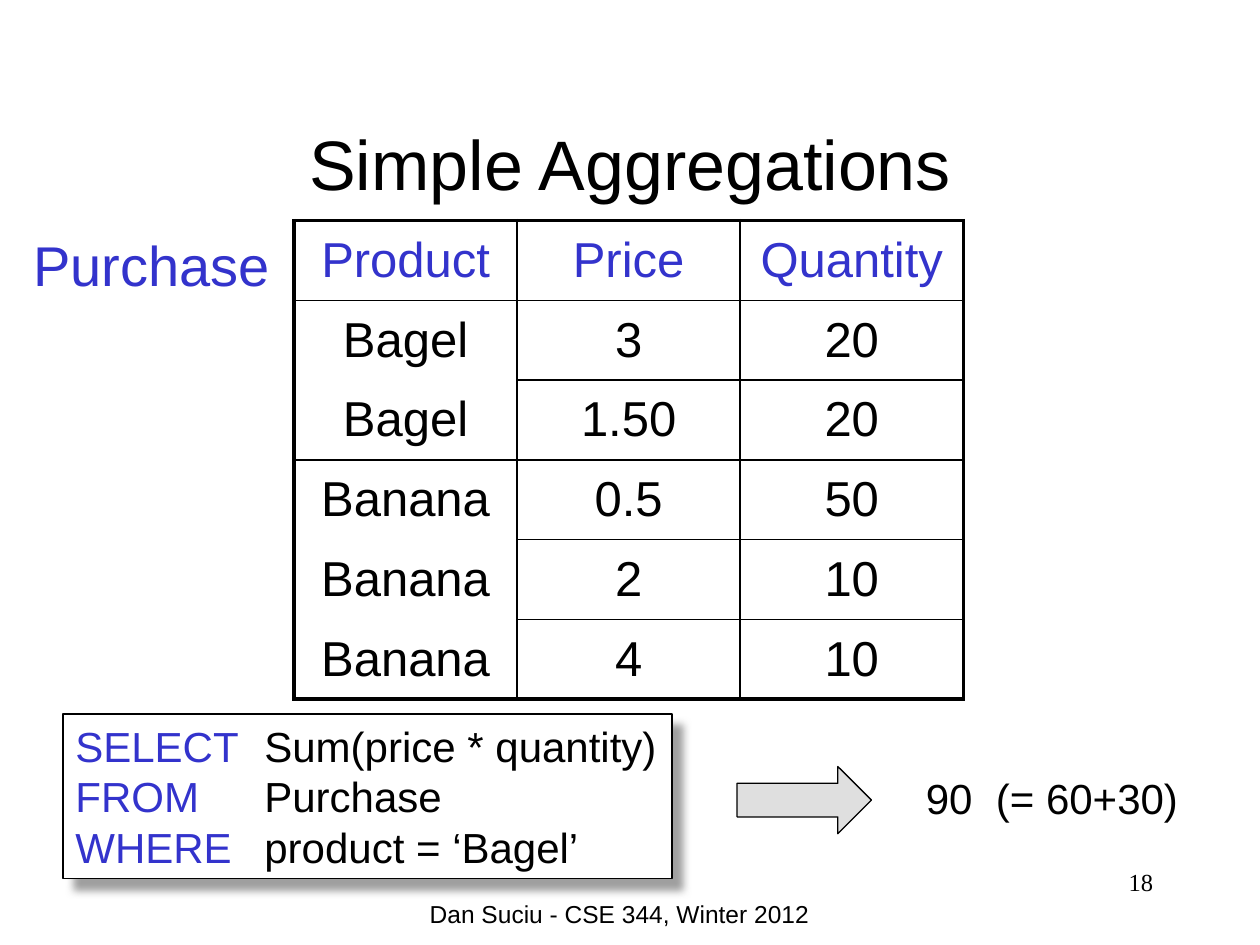
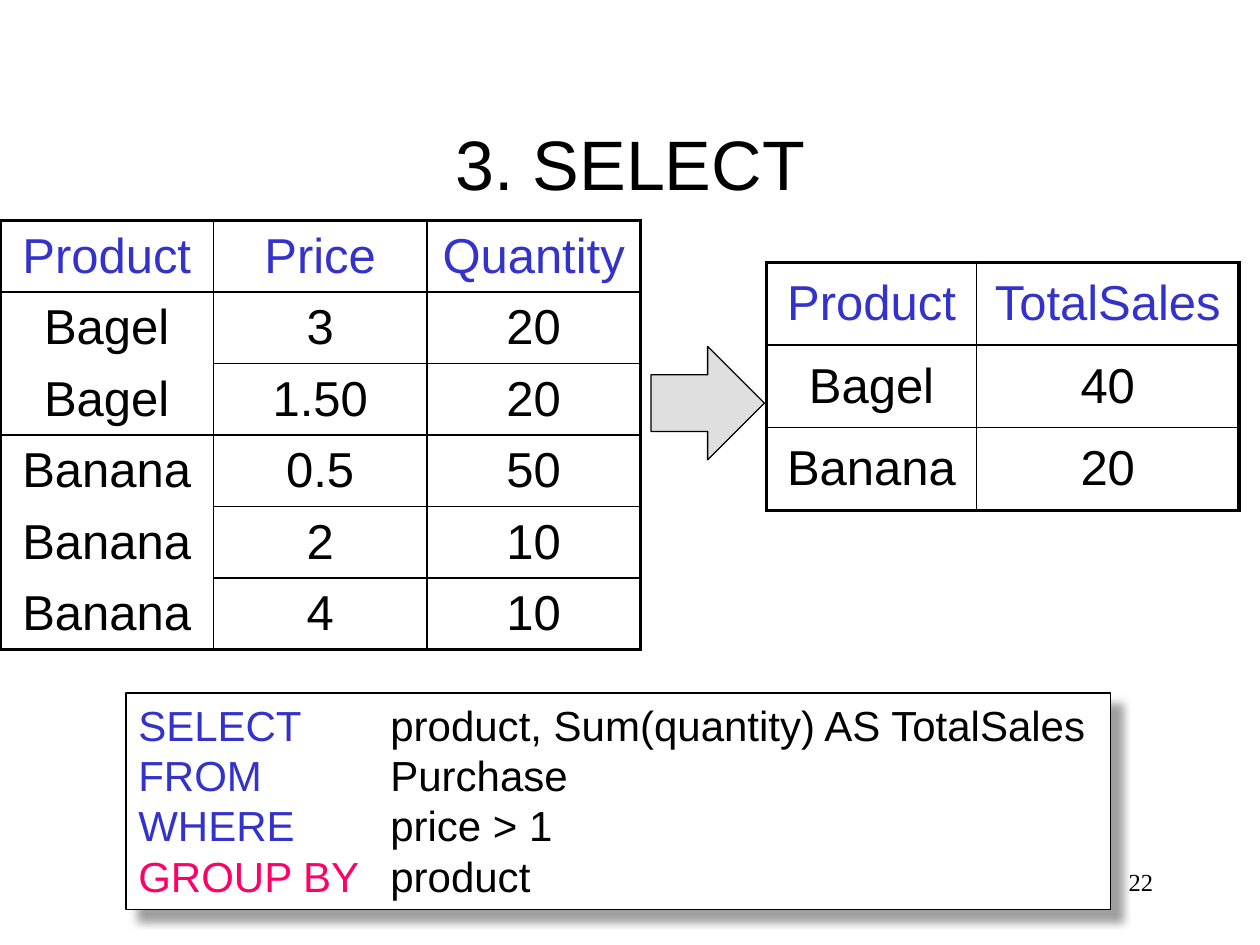
"""Build two slides on SQL aggregation: a simple sum and a grouped SELECT."""
from lxml import etree
from pptx import Presentation
from pptx.dml.color import RGBColor
from pptx.enum.shapes import MSO_SHAPE
from pptx.enum.text import MSO_ANCHOR, PP_ALIGN
from pptx.oxml.ns import qn
from pptx.util import Emu, Inches, Pt

RECTANGLE, RIGHT_ARROW = MSO_SHAPE.RECTANGLE, MSO_SHAPE.RIGHT_ARROW
LEFT, CENTER, RIGHT = PP_ALIGN.LEFT, PP_ALIGN.CENTER, PP_ALIGN.RIGHT
TOP, MIDDLE = MSO_ANCHOR.TOP, MSO_ANCHOR.MIDDLE

COLORS = {
    "ink": "000000",
    "paper": "FFFFFF",
    "keyword": "3333CC",
    "highlight": "FF0066",
    "arrow": "C0C0C0",
    "shadow": "808080",
}
SANS, SERIF = "Arial", "Times New Roman"
SLIDE_WIDTH, SLIDE_HEIGHT = Inches(10), Inches(7.5)
GRID_COLUMNS = 120
THICK, THIN = 2.25, 1
TITLE_AREA = (9, 8, 102, 15)
FOOTER_AREA = (37, 85, 44, 6)
NUMBER_AREA = (86, 82, 25, 6)

PURCHASES = [
    ("Product", "Price", "Quantity"),
    ("Bagel", "3", "20"),
    ("Bagel", "1.50", "20"),
    ("Banana", "0.5", "50"),
    ("Banana", "2", "10"),
    ("Banana", "4", "10"),
]
TOTALS = [("Product", "TotalSales"), ("Bagel", "40"), ("Banana", "20")]
BAGEL_QUERY = [
    ("SELECT", "Sum(price * quantity)", "keyword"),
    ("FROM", "Purchase", "keyword"),
    ("WHERE", "product = ‘Bagel’", "keyword"),
]
GROUP_QUERY = [
    ("SELECT", "product, Sum(quantity) AS TotalSales", "keyword"),
    ("FROM", "Purchase", "keyword"),
    ("WHERE", "price > 1", "keyword"),
    ("GROUP BY", "product", "highlight"),
]


def grid(units):
    """Turn grid units into a length; cells are square."""
    return Emu(round(SLIDE_WIDTH * units / GRID_COLUMNS))


def place(area):
    """Turn a grid area into left, top, width and height."""
    return [grid(units) for units in area]


def color(name):
    """Look up a named colour."""
    return RGBColor.from_string(COLORS[name])


def add_run(paragraph, text, size, color_name="ink", font=SANS):
    """Append one formatted run."""
    run = paragraph.add_run()
    run.text = text
    run.font.size = Pt(size)
    run.font.name = font
    run.font.color.rgb = color(color_name)


def add_title(slide, text):
    """Move and fill the title placeholder."""
    title = slide.shapes.title
    title.left, title.top, title.width, title.height = place(TITLE_AREA)
    title.text_frame.vertical_anchor = MIDDLE
    paragraph = title.text_frame.paragraphs[0]
    paragraph.alignment = CENTER
    add_run(paragraph, text, 40)


def add_label(slide, area, text, size, color_name="ink", font=SANS, alignment=LEFT):
    """Add a one-line text box."""
    frame = slide.shapes.add_textbox(*place(area)).text_frame
    frame.word_wrap = True
    frame.paragraphs[0].alignment = alignment
    add_run(frame.paragraphs[0], text, size, color_name, font)


def add_outlined_shape(slide, kind, area, fill_name):
    """Add a filled preset shape with a thin outline and no shadow."""
    shape = slide.shapes.add_shape(kind, *place(area))
    shape.shadow.inherit = False
    shape.fill.solid()
    shape.fill.fore_color.rgb = color(fill_name)
    shape.line.color.rgb = color("ink")
    shape.line.width = Pt(0.75)
    return shape


def add_arrow(slide, area):
    """Add a half-transparent block arrow."""
    arrow = add_outlined_shape(slide, RIGHT_ARROW, area, "arrow")
    fill_color = arrow._element.spPr.find(qn("a:solidFill")).find(qn("a:srgbClr"))
    etree.SubElement(fill_color, qn("a:alpha"), val="50000")


def add_drop_shadow(shape):
    """Give a shape a soft shadow to the lower right."""
    effects = shape._element.spPr.find(qn("a:effectLst"))
    shadow = etree.SubElement(
        effects, qn("a:outerShdw"), blurRad=str(Pt(5)), dist=str(Pt(8.5)),
        dir="2700000", algn="tl", rotWithShape="0")
    shadow_color = etree.SubElement(shadow, qn("a:srgbClr"), val=COLORS["shadow"])
    etree.SubElement(shadow_color, qn("a:alpha"), val="75000")


def add_query(slide, area, clauses, tab):
    """Add a query box whose clause bodies align at a tab stop."""
    box = add_outlined_shape(slide, RECTANGLE, area, "paper")
    add_drop_shadow(box)
    frame = box.text_frame
    frame.word_wrap = True
    frame.vertical_anchor = TOP
    frame.margin_right = 0
    for index, (keyword, body, color_name) in enumerate(clauses):
        paragraph = frame.add_paragraph() if index else frame.paragraphs[0]
        paragraph.alignment = LEFT
        stops = etree.SubElement(paragraph._p.get_or_add_pPr(), qn("a:tabLst"))
        etree.SubElement(stops, qn("a:tab"), pos=str(grid(tab)), algn="l")
        add_run(paragraph, keyword, 24, color_name)
        add_run(paragraph, "\t" + body, 24)


def set_border(cell, side, width):
    """Draw one side of a cell, or hide it when the width is zero."""
    line = etree.SubElement(
        cell._tc.get_or_add_tcPr(), qn("a:ln" + side), w=str(Pt(width)))
    if width:
        fill = etree.SubElement(line, qn("a:solidFill"))
        etree.SubElement(fill, qn("a:srgbClr"), val=COLORS["ink"])
    else:
        etree.SubElement(line, qn("a:noFill"))


def rule_width(records, row, column):
    """Width of the rule above a row; equal products share one block."""
    if row in (0, len(records)):
        return THICK
    repeated = column == 0 and records[row][0] == records[row - 1][0]
    return 0 if repeated else THIN


def add_records(slide, left, top, column_widths, height, records):
    """Add a table with a heavy frame and a coloured header row."""
    area = (left, top, sum(column_widths), height)
    table = slide.shapes.add_table(
        len(records), len(column_widths), *place(area)).table
    table.first_row = table.horz_banding = False
    for table_column, width in zip(table.columns, column_widths):
        table_column.width = grid(width)
    for row, record in enumerate(records):
        table.rows[row].height = grid(height / len(records))
        for column, text in enumerate(record):
            cell = table.cell(row, column)
            cell.vertical_anchor = MIDDLE
            set_border(cell, "L", THIN if column else THICK)
            set_border(cell, "R", THIN if column < len(record) - 1 else THICK)
            set_border(cell, "T", rule_width(records, row, column))
            set_border(cell, "B", rule_width(records, row + 1, column))
            cell.fill.background()
            paragraph = cell.text_frame.paragraphs[0]
            paragraph.alignment = CENTER
            add_run(paragraph, text, 28, "ink" if row else "keyword")


def add_slide(presentation, title, number):
    """Add a titled slide with its page number."""
    slide = presentation.slides.add_slide(presentation.slide_layouts[5])
    add_title(slide, title)
    add_label(slide, NUMBER_AREA, number, 14, font=SERIF, alignment=RIGHT)
    return slide


def build_simple_aggregations(presentation):
    """Show one sum over the purchase table."""
    slide = add_slide(presentation, "Simple Aggregations", "18")
    add_label(slide, (2, 21.4, 25.2, 7.7), "Purchase", 32, "keyword")
    add_query(slide, (6, 68, 58, 15.7), BAGEL_QUERY, 18)
    add_arrow(slide, (70.2, 73, 12.8, 6.4))
    add_label(slide, (87, 73, 28, 6), "90  (= 60+30)", 24)
    add_records(slide, 28, 21, [21.25] * 3, 45.6, PURCHASES)
    add_label(slide, FOOTER_AREA, "Dan Suciu - CSE 344, Winter 2012", 14,
              alignment=CENTER)


def build_select(presentation):
    """Show the purchases grouped into total sales."""
    slide = add_slide(presentation, "3. SELECT", "22")
    add_query(slide, (12, 66, 93.8, 20.6), GROUP_QUERY, 24)
    add_records(slide, 73, 25, [20, 25], 23.6, TOTALS)
    add_records(slide, 0, 21, [20.33] * 3, 40.8, PURCHASES)
    add_arrow(slide, (62, 33, 10.8, 10.8))


def main():
    """Build and save the presentation."""
    presentation = Presentation()
    presentation.slide_width = SLIDE_WIDTH
    presentation.slide_height = SLIDE_HEIGHT
    build_simple_aggregations(presentation)
    build_select(presentation)
    presentation.save("out.pptx")


if __name__ == "__main__":
    main()
